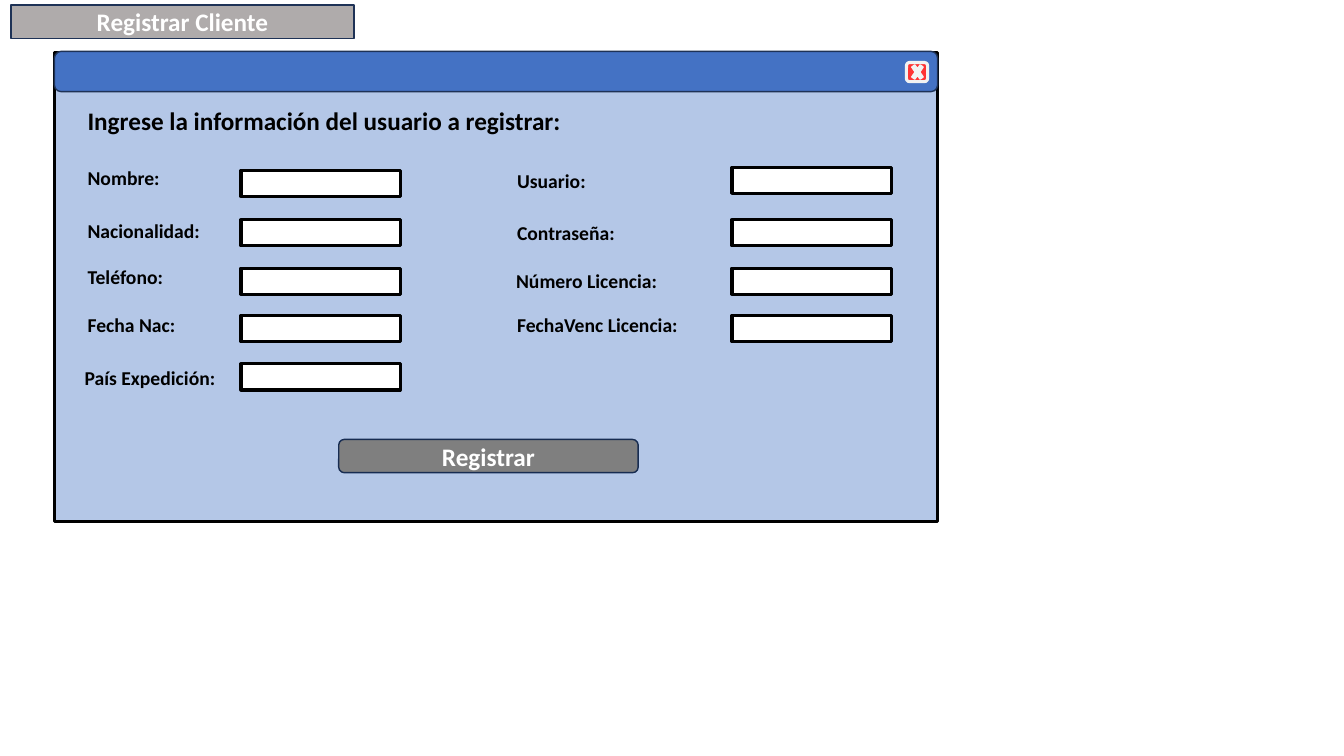
from pptx import Presentation
from pptx.dml.color import RGBColor
from pptx.enum import shapes, text
from pptx.util import Pt

PX = 9144
FONT = "Calibri"
BLACK = RGBColor(0x00, 0x00, 0x00)
WHITE = RGBColor(0xFF, 0xFF, 0xFF)
PALE_BLUE = RGBColor(0xB4, 0xC7, 0xE7)
BLUE = RGBColor(0x44, 0x72, 0xC4)
NAVY = RGBColor(0x1E, 0x32, 0x56)
DARK_NAVY = RGBColor(0x17, 0x2C, 0x51)
GREY = RGBColor(0x7F, 0x7F, 0x7F)
LIGHT_GREY = RGBColor(0xAF, 0xAB, 0xAB)
OFF_WHITE = RGBColor(0xF2, 0xF2, 0xF2)
RED = RGBColor(0xFF, 0x33, 0x33)

RECTANGLE = shapes.MSO_SHAPE.RECTANGLE
ROUNDED = shapes.MSO_SHAPE.ROUNDED_RECTANGLE
MULTIPLY = shapes.MSO_SHAPE.MATH_MULTIPLY

LEFT_FIELD, RIGHT_FIELD = 239, 726
FIELDS = [
    ("Nombre:", 77, 160, LEFT_FIELD, 169),
    ("Nacionalidad:", 77, 212, LEFT_FIELD, 218),
    ("Teléfono:", 77, 258, LEFT_FIELD, 266),
    ("Fecha Nac:", 77, 306, LEFT_FIELD, 313),
    ("País Expedición:", 74, 358, LEFT_FIELD, 361),
    ("Usuario:", 503, 163, RIGHT_FIELD, 166),
    ("Contraseña:", 503, 214, RIGHT_FIELD, 218),
    ("Número Licencia:", 502, 262, RIGHT_FIELD, 266),
    ("FechaVenc Licencia:", 503, 306, RIGHT_FIELD, 313),
]


def emu(*lengths):
    return [length * PX for length in lengths]


def write(shape, content, size=14, color=BLACK, align=None,
          anchor=text.MSO_ANCHOR.TOP, fit=text.MSO_AUTO_SIZE.NONE):
    frame = shape.text_frame
    frame.word_wrap = True
    frame.auto_size = fit
    frame.vertical_anchor = anchor
    paragraph = frame.paragraphs[0]
    paragraph.alignment = align
    run = paragraph.add_run()
    run.text = content
    run.font.name = FONT
    run.font.size = Pt(size)
    run.font.bold = True
    run.font.color.rgb = color


def write_centred(shape, content):
    write(shape, content, size=18, color=WHITE, align=text.PP_ALIGN.CENTER,
          anchor=text.MSO_ANCHOR.MIDDLE)


def paint(shape, fill, line, weight=1):
    shape.fill.solid()
    shape.fill.fore_color.rgb = fill
    shape.line.color.rgb = line
    shape.line.width = Pt(weight)


def add_box(parent, kind, box, fill, line, weight=1):
    shape = parent.shapes.add_shape(kind, *emu(*box))
    shape.shadow.inherit = False
    paint(shape, fill, line, weight)
    return shape


def add_label(slide, content, box, size=14):
    label = slide.shapes.add_textbox(*emu(*box))
    write(label, content, size=size, fit=text.MSO_AUTO_SIZE.SHAPE_TO_FIT_TEXT)


def add_title(slide, content, box):
    title = slide.shapes.title
    title.left, title.top, title.width, title.height = emu(*box)
    paint(title, LIGHT_GREY, NAVY)
    write_centred(title, content)


def add_window(slide):
    add_box(slide, RECTANGLE, (54, 52, 876, 465), PALE_BLUE, BLACK, 2.25)
    add_box(slide, ROUNDED, (54, 51, 876, 40), BLUE, NAVY)
    close_button = slide.shapes.add_group_shape()
    add_box(close_button, ROUNDED, (899, 62, 21, 19), RED, OFF_WHITE, 2.25)
    add_box(close_button, MULTIPLY, (902, 60, 16, 23), OFF_WHITE, OFF_WHITE)


def add_field(slide, name, label_left, label_top, field_left, field_top):
    add_label(slide, name, (label_left, label_top, 225, 34))
    add_box(slide, RECTANGLE, (field_left, field_top, 158, 26), WHITE, BLACK, 2.25)


def main():
    presentation = Presentation()
    presentation.slide_width, presentation.slide_height = emu(1333, 750)
    slide = presentation.slides.add_slide(presentation.slide_layouts[5])

    add_title(slide, "Registrar Cliente", (11, 5, 340, 33))
    add_window(slide)
    add_label(slide, "Ingrese la información del usuario a registrar:",
              (77, 100, 590, 40), size=18)
    for field in FIELDS:
        add_field(slide, *field)
    button = add_box(slide, ROUNDED, (336, 436, 297, 33), GREY, DARK_NAVY)
    write_centred(button, "Registrar")

    presentation.save("out.pptx")


if __name__ == "__main__":
    main()
